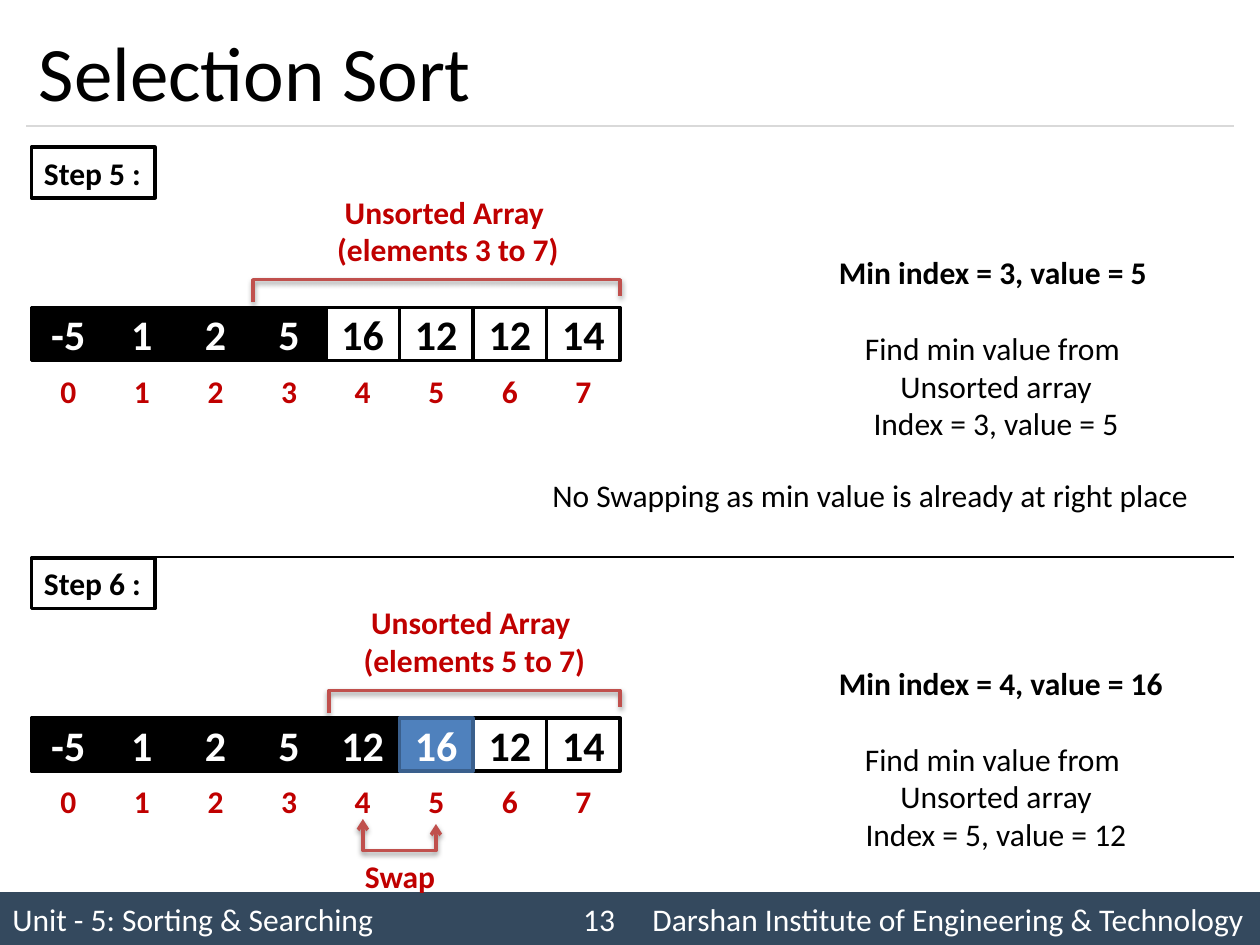
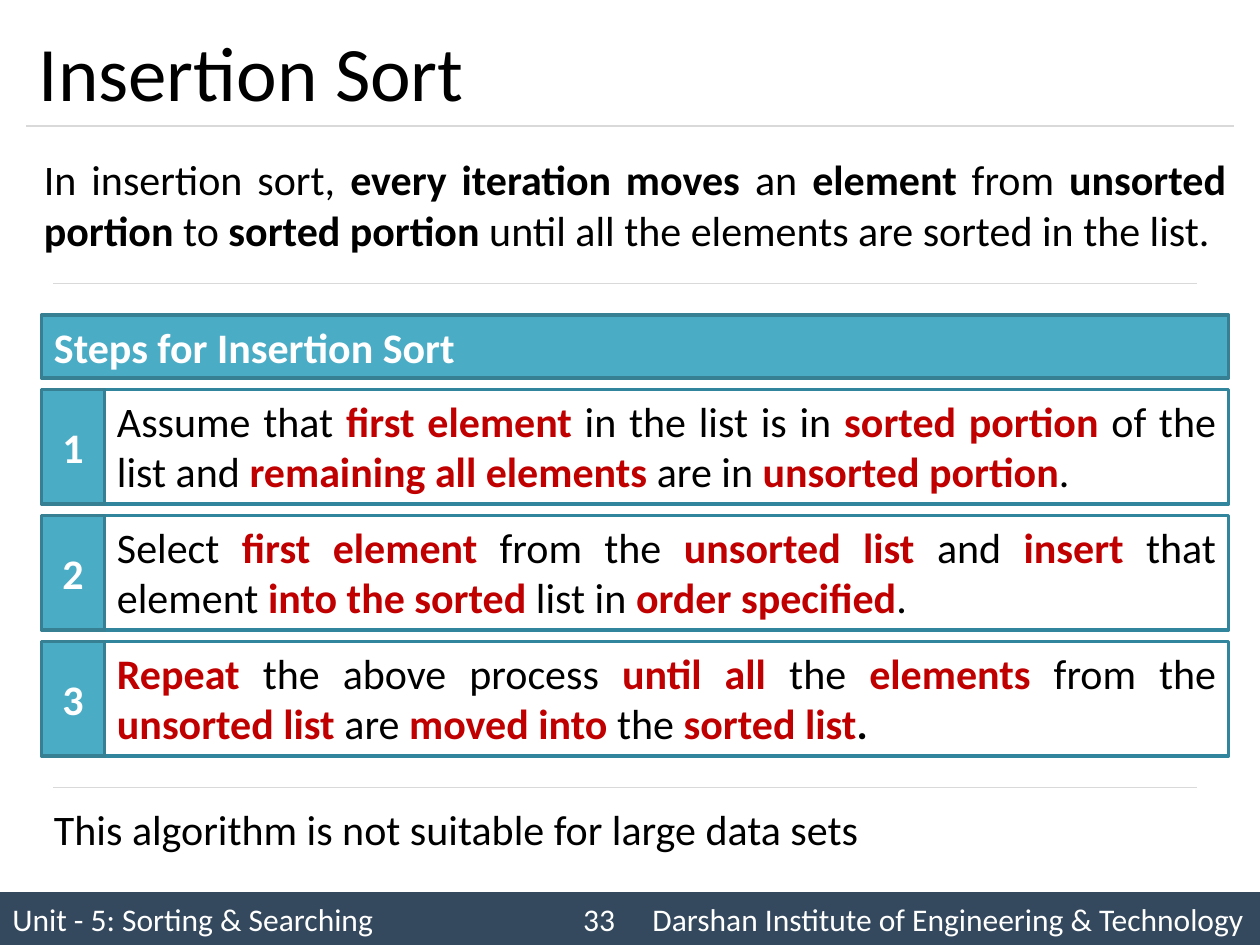
"""Build two slides on selection sort and insertion sort."""
from lxml import etree
from pptx import Presentation
from pptx.dml.color import RGBColor
from pptx.enum.shapes import MSO_CONNECTOR, MSO_SHAPE
from pptx.enum.text import MSO_ANCHOR, PP_ALIGN
from pptx.oxml import parse_xml
from pptx.oxml.ns import nsdecls, qn
from pptx.util import Inches, Pt

FONT = "Calibri"
BLACK, WHITE, RED, NAVY, GREY = "000000", "FFFFFF", "C00000", "34495E", "D9D9D9"
TEAL, TEAL_EDGE, STEP_EDGE = "4BACC6", "377F92", "31859C"
BLUE, BLUE_EDGE, BRACKET = "4F81BD", "3A5F8C", "C0504D"
CENTER, JUSTIFY = PP_ALIGN.CENTER, PP_ALIGN.JUSTIFY
TOP, MIDDLE = MSO_ANCHOR.TOP, MSO_ANCHOR.MIDDLE
SHADOW = (
    f'<a:outerShdw {nsdecls("a")} blurRad="39370" dist="20320" dir="5400000" rotWithShape="0">'
    '<a:srgbClr val="000000"><a:alpha val="38000"/></a:srgbClr></a:outerShdw>'
)
rgb = RGBColor.from_string


def add_text(s, text, x, y, w, h, size=18, color=BLACK, bold=False, align=PP_ALIGN.LEFT,
             anchor=TOP, fill=None, line=None, width=2, wrap=True, strong=None):
    """Add a box of text; parts between asterisks are bold in the strong colour."""
    sp = s.shapes.add_shape(MSO_SHAPE.RECTANGLE, Inches(x), Inches(y), Inches(w), Inches(h))
    sp.shadow.inherit = False
    if fill:
        sp.fill.solid()
        sp.fill.fore_color.rgb = rgb(fill)
    else:
        sp.fill.background()
    if line:
        sp.line.color.rgb = rgb(line)
        sp.line.width = Pt(width)
    else:
        sp.line.fill.background()
    tf = sp.text_frame
    tf.word_wrap = wrap
    tf.vertical_anchor = anchor
    for i, row in enumerate(text.split("\n")):
        p = tf.paragraphs[0] if i == 0 else tf.add_paragraph()
        p.alignment = align
        for j, part in enumerate(row.split("*")):
            if part:
                r = p.add_run()
                r.text = part
                r.font.name = FONT
                r.font.size = Pt(size)
                r.font.bold = bold or j % 2 == 1
                r.font.color.rgb = rgb(strong if strong and j % 2 else color)
    return sp


def add_rule(s, x1, x2, y, color=GREY):
    """Add a thin horizontal line."""
    ln = s.shapes.add_connector(MSO_CONNECTOR.STRAIGHT, Inches(x1), Inches(y), Inches(x2), Inches(y))
    ln.line.color.rgb = rgb(color)
    ln.line.width = Pt(0.75)
    etree.SubElement(ln._element.spPr, qn("a:effectLst"))


prs = Presentation()
prs.slide_width, prs.slide_height = Inches(10), Inches(7.5)

slides = []
for title, number in [("Selection Sort", "13"), ("Insertion Sort", "33")]:
    s = prs.slides.add_slide(prs.slide_layouts[6])
    slides.append(s)
    for text, x, w, align in [
        ("Unit - 5: Sorting & Searching", 0, 4.42, PP_ALIGN.LEFT),
        ("Darshan Institute of Engineering & Technology", 5.08, 4.92, PP_ALIGN.LEFT),
        (number, 4.42, 0.67, CENTER),
    ]:
        add_text(s, text, x, 7.08, w, 0.42, color=WHITE, align=align, anchor=MIDDLE, fill=NAVY)
    add_rule(s, 0.21, 9.79, 1)
    add_text(s, title, 0.21, 0.12, 9.58, 0.88, size=44, anchor=MIDDLE)
selection, insertion = slides

s = selection
LEFT, CELL = 0.25, 0.584
steps = [
    (5, 2.44, [-5, 1, 2, 5, 16, 12, 12, 14], 4, None, 2.01, 2.57, "3 to 7",
     "Min index = 3, value = 5", "Index = 3, value = 5"),
    (6, 5.7, [-5, 1, 2, 5, 12, 16, 12, 14], 5, 5, 2.61, 2.78, "5 to 7",
     "Min index = 4, value = 16", "Index = 5, value = 12"),
]
brackets = []
add_rule(s, 0.25, 9.79, 4.42, BLACK)
for step, y, values, done, swapped, start, label_x, span, minimum, found in steps:
    add_text(s, f"Step {step} :", LEFT, y - 1.27, 0.98, 0.4, bold=True, line=BLACK,
             width=2.25, wrap=False)
    for i in sorted(range(len(values)), key=lambda i: i == swapped):
        x = LEFT + i * CELL
        if i == swapped:
            fill, line, color = BLUE, BLUE_EDGE, WHITE
        elif i < done:
            fill, line, color = BLACK, BLACK, WHITE
        else:
            fill, line, color = WHITE, BLACK, BLACK
        add_text(s, str(values[i]), x, y, CELL, 0.42, size=24, color=color, bold=True,
                 align=CENTER, anchor=MIDDLE, fill=fill, line=line)
        add_text(s, str(i), x, y + 0.45, CELL, 0.42, color=RED, bold=True,
                 align=CENTER, anchor=MIDDLE, fill=WHITE)
    add_text(s, f"Unsorted Array \n(elements {span})", label_x, y - 0.96, 1.97, 0.71,
             color=RED, bold=True, align=CENTER, wrap=False)
    add_text(s, minimum, 6.56, y - 0.48, 2.8, 0.4, bold=True, wrap=False)
    add_text(s, f"Find min value from \nUnsorted array\n{found}", 6.75, y + 0.12, 2.31, 1.01,
             align=CENTER, wrap=False)
    top = y - 0.22
    brackets.append(([(start, top + 0.18), (start, top), (4.92, top), (4.92, top + 0.13)], False))
add_text(s, "No Swapping as min value is already at right place ", 4.25, 3.73, 5.37, 0.4,
         align=CENTER, wrap=False)
add_text(s, "Swap", 2.68, 6.75, 0.99, 0.4, color=RED, bold=True, align=CENTER)

brackets.append(([(2.88, 6.5), (2.88, 6.75), (3.46, 6.75), (3.46, 6.54)], True))
for points, arrows in brackets:
    corners = [(Inches(x), Inches(y)) for x, y in points]
    fb = s.shapes.build_freeform(*corners[0])
    fb.add_line_segments(corners[1:], close=False)
    sp = fb.convert_to_shape()
    sp.fill.background()
    sp.line.color.rgb = rgb(BRACKET)
    sp.line.width = Pt(2)
    sp.shadow.inherit = False
    sp._element.spPr.find(qn("a:effectLst")).append(parse_xml(SHADOW))
    if arrows:
        for end in ("a:headEnd", "a:tailEnd"):
            etree.SubElement(sp._element.spPr.find(qn("a:ln")), qn(end), type="arrow")

s = insertion
add_text(s, "In insertion sort, *every iteration moves* an *element* from *unsorted portion* to "
         "*sorted portion* until all the elements are sorted in the list.",
         0.25, 1.17, 9.58, 0.91, size=24, align=JUSTIFY)
for y in (2.25, 6.25):
    add_rule(s, 0.42, 9.5, y)
add_text(s, "Steps for Insertion Sort", 0.33, 2.5, 9.42, 0.5, size=24, color=WHITE, bold=True,
         fill=TEAL, line=TEAL_EDGE)
instructions = [
    "Assume that *first element* in the list is in *sorted portion* of the list and "
    "*remaining all elements *are in *unsorted portion*.",
    "Select *first element* from the *unsorted list* and *insert* that element "
    "*into the sorted *list in *order specified*.",
    "*Repeat *the above process *until all *the *elements *from the *unsorted list* are "
    "*moved into* the *sorted list*.",
]
for i, text in enumerate(instructions):
    y = 3.09 + i
    sp = add_text(s, text, 0.83, y, 8.92, 0.91, size=24, align=JUSTIFY, fill=WHITE,
                  line=STEP_EDGE, strong=RED)
    add_text(s, str(i + 1), 0.33, y, 0.5, 0.91, size=24, color=WHITE, bold=True, align=CENTER,
             anchor=MIDDLE, fill=TEAL, line=TEAL_EDGE)
sp.text_frame.paragraphs[0].runs[-1].font.bold = True
add_text(s, "This algorithm is not suitable for large data sets", 0.33, 6.33, 9.42, 0.5, size=24)

prs.save("out.pptx")
